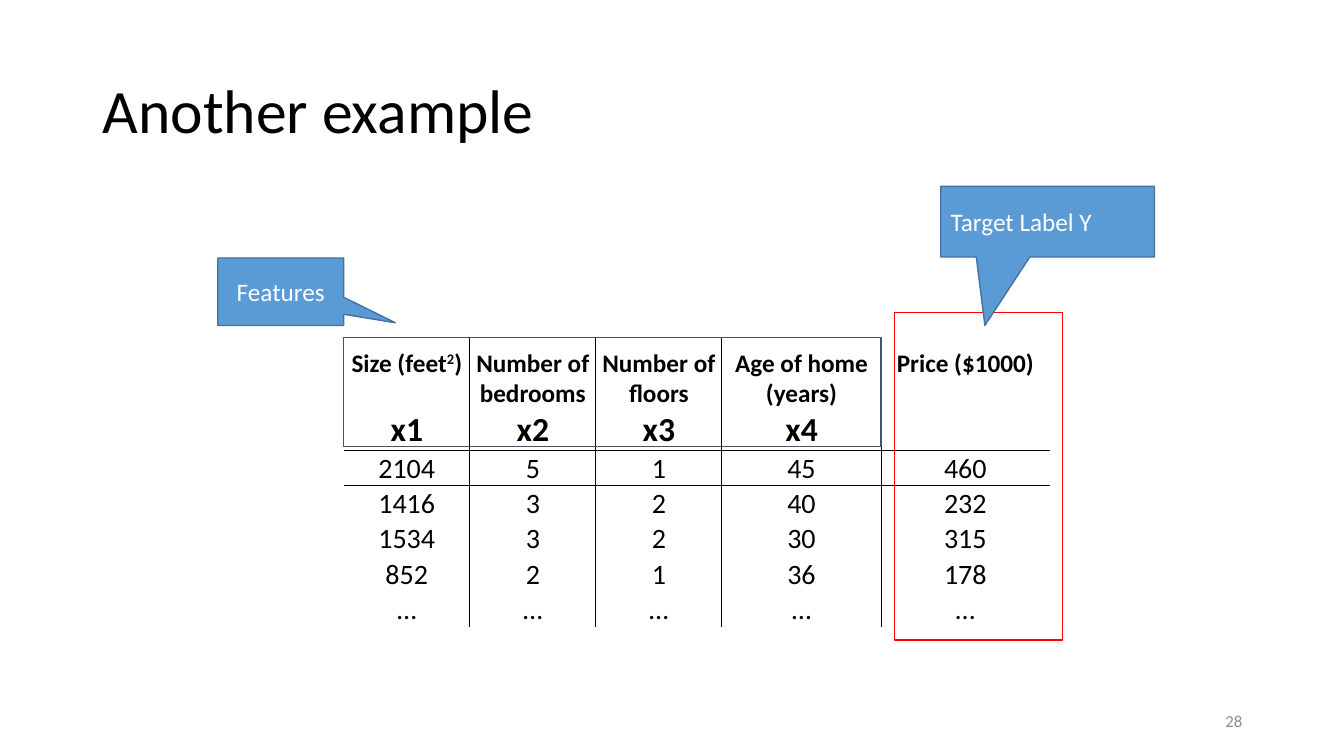
from lxml.etree import SubElement
from pptx import Presentation
from pptx.dml.color import RGBColor
from pptx.enum.shapes import MSO_SHAPE
from pptx.enum.text import MSO_ANCHOR, PP_ALIGN
from pptx.oxml.ns import qn
from pptx.util import Inches, Pt

TITLE = "Another example"
PAGE_NUMBER = "28"
HEADERS = [
    ("Size (feet", "x1"),
    ("Number of bedrooms", "x2"),
    ("Number of floors", "x3"),
    ("Age of home (years)", "x4"),
    ("Price ($1000)", None),
]
HOMES = [
    ("2104", "5", "1", "45", "460"),
    ("1416", "3", "2", "40", "232"),
    ("1534", "3", "2", "30", "315"),
    ("852", "2", "1", "36", "178"),
    ("…",) * 5,
]
CALLOUTS = [  # text, place, pointer, alignment
    ("Target Label Y", (9.33, 1.85, 2.12, 0.7), (-0.293, 1.47), PP_ALIGN.LEFT),
    ("Features", (2.16, 2.56, 1.25, 0.67), (0.909, 0.459), PP_ALIGN.CENTER),
]
FONT = "Calibri"
TABLE_LEFT, TABLE_TOP = 3.41, 3.35
COLUMNS = [1.25, 1.25, 1.25, 1.58, 1.67]
HEADER_ROW, HOME_ROW = 1.12, 0.35
NO_STYLE = "{2D5ABB26-0587-4C30-8999-92F81FD0307C}"


def color(value):
    return RGBColor.from_string(value)


def place(lengths):
    return [Inches(length) for length in lengths]


def style(para, size, value="000000", align=PP_ALIGN.CENTER, bold=False):
    para.alignment = align
    for span in para.runs:
        span.font.name, span.font.size, span.font.bold = FONT, Pt(size), bold
        span.font.color.rgb = color(value)


def add_box(slide, kind, where, line, fill=None):
    box = slide.shapes.add_shape(kind, *place(where))
    box.shadow.inherit = False
    box.line.color.rgb = color(line)
    box.line.width = Pt(1)
    if fill:
        box.fill.solid()
        box.fill.fore_color.rgb = color(fill)
    else:
        box.fill.background()
    return box


def set_borders(cell, widths):
    """Draw the sides L, R, T and B that have a width, and hide the others."""
    properties = cell._tc.get_or_add_tcPr()
    for side in "LRTB":
        width = widths.get(side, 0)
        line = SubElement(properties, qn(f"a:ln{side}"), w=str(Pt(width)))
        if width:
            fill = SubElement(line, qn("a:solidFill"))
            SubElement(fill, qn("a:srgbClr"), val="000000")
        else:
            SubElement(line, qn("a:noFill"))


def fill_header(cell, name, symbol):
    para = cell.text_frame.paragraphs[0]
    para.text = name
    if name == HEADERS[0][0]:
        power = para.add_run()
        power.text = "2"
        power._r.get_or_add_rPr().set("baseline", "30000")
        para.add_run().text = ")"
    style(para, 18, bold=True)
    if symbol:
        second = cell.text_frame.add_paragraph()
        second.text = symbol
        style(second, 24, bold=True)
        if len(para.runs) > 1:
            second.space_before = Pt(22)
    else:
        cell.vertical_anchor = MSO_ANCHOR.TOP
        cell.margin_top = Inches(0.11)


def add_homes_table(slide):
    rows, last = len(HOMES) + 1, len(COLUMNS) - 1
    height = HEADER_ROW + HOME_ROW * len(HOMES)
    frame = slide.shapes.add_table(
        rows, len(COLUMNS), *place((TABLE_LEFT, TABLE_TOP, sum(COLUMNS), height)))
    table = frame.table
    table.first_row = table.horz_banding = False
    table._tbl.tblPr.find(qn("a:tableStyleId")).text = NO_STYLE
    for column, width in zip(table.columns, COLUMNS):
        column.width = Inches(width)
    for r, row in enumerate(table.rows):
        row.height = Inches(HOME_ROW if r else HEADER_ROW)
        for c, cell in enumerate(row.cells):
            rules = {0: 1.5, 1: 1}
            set_borders(cell, {"L": 1 if c else 0, "R": 1 if c < last else 0,
                               "T": rules.get(r - 1, 0), "B": rules.get(r, 0)})
            cell.fill.solid()
            cell.fill.fore_color.rgb = color("FFFFFF")
            cell.margin_left = cell.margin_right = cell.margin_top = Inches(0.01)
            cell.margin_bottom = 0
            cell.vertical_anchor = MSO_ANCHOR.BOTTOM
            if r:
                cell.text_frame.text = HOMES[r - 1][c]
                style(cell.text_frame.paragraphs[0], 20)
            else:
                fill_header(cell, *HEADERS[c])


def main():
    deck = Presentation()
    deck.slide_width, deck.slide_height = place((13.33, 7.5))
    slide = deck.slides.add_slide(deck.slide_layouts[5])

    title = slide.shapes.title
    title.left, title.top, title.width, title.height = place((0.92, 0.4, 11.5, 1.45))
    title.text_frame.text = TITLE
    title.text_frame.vertical_anchor = MSO_ANCHOR.MIDDLE
    title.text_frame.paragraphs[0].line_spacing = 0.9
    style(title.text_frame.paragraphs[0], 44, align=PP_ALIGN.LEFT)

    number = slide.shapes.add_textbox(*place((9.42, 6.95, 3, 0.4))).text_frame
    number.word_wrap = True
    number.vertical_anchor = MSO_ANCHOR.MIDDLE
    number.text = PAGE_NUMBER
    style(number.paragraphs[0], 12, "8C8C8C", PP_ALIGN.RIGHT)

    add_homes_table(slide)
    add_box(slide, MSO_SHAPE.RECTANGLE, (8.87, 3.1, COLUMNS[-1], 3.25), "FF0000")
    for text, where, pointer, align in CALLOUTS:
        callout = add_box(slide, MSO_SHAPE.RECTANGULAR_CALLOUT, where, "43739E", "5B9BD5")
        callout.adjustments[0], callout.adjustments[1] = pointer
        callout.text_frame.text = text
        callout.text_frame.vertical_anchor = MSO_ANCHOR.MIDDLE
        style(callout.text_frame.paragraphs[0], 18, "FFFFFF", align)
    add_box(slide, MSO_SHAPE.RECTANGLE,
            (TABLE_LEFT, TABLE_TOP, sum(COLUMNS[:-1]), 1.08), "44546A")

    deck.save("out.pptx")


if __name__ == "__main__":
    main()
